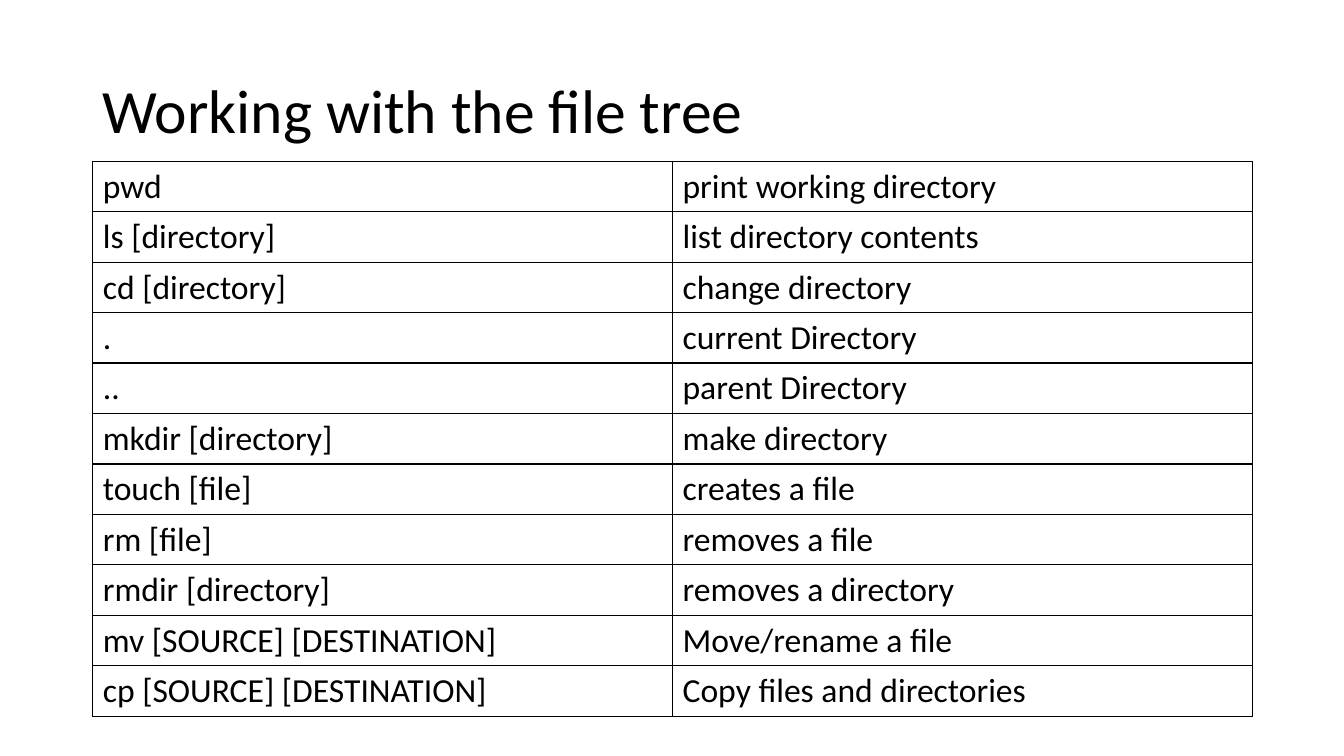
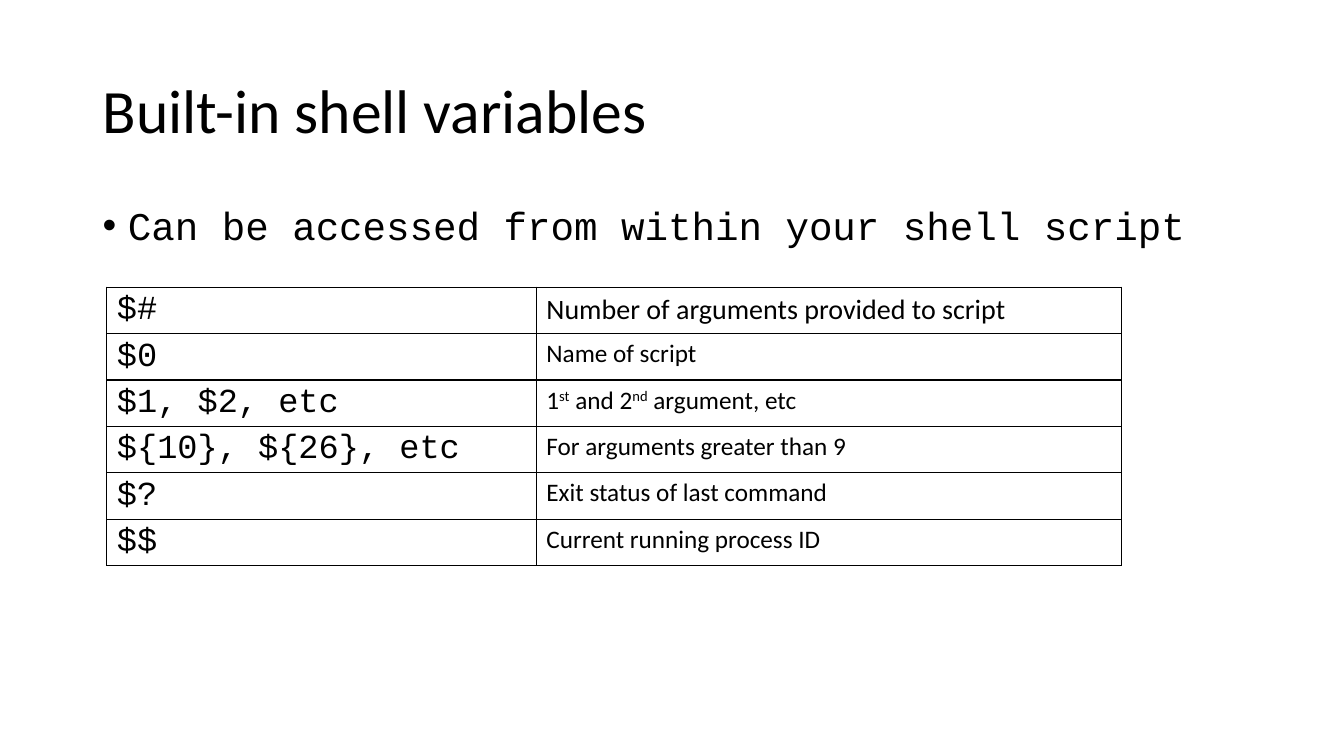
from dataclasses import dataclass
from lxml.etree import SubElement
from pptx import Presentation
from pptx.dml.color import RGBColor
from pptx.enum.text import MSO_ANCHOR
from pptx.oxml.ns import qn
from pptx.util import Inches, Pt

TREE_TITLE = "Working with the file tree"
TREE_ROWS = [
    ("pwd", "print working directory"),
    ("ls [directory]", "list directory contents"),
    ("cd [directory]", "change directory"),
    (".", "current Directory"),
    ("..", "parent Directory"),
    ("mkdir [directory]", "make directory"),
    ("touch [file]", "creates a file"),
    ("rm [file]", "removes a file"),
    ("rmdir [directory]", "removes a directory"),
    ("mv [SOURCE] [DESTINATION]", "Move/rename a file"),
    ("cp [SOURCE] [DESTINATION]", "Copy files and directories"),
]
SHELL_TITLE = "Built-in shell variables"
SHELL_BULLET = "Can be accessed from within your shell script"
SHELL_ROWS = [
    ("$#", "Number of arguments provided to script"),
    ("$0", "Name of script"),
    ("$1, $2, etc", ("1", "^st", " and 2", "^nd", " argument, etc")),
    ("${10}, ${26}, etc", "For arguments greater than 9"),
    ("$?", "Exit status of last command"),
    ("$$", "Current running process ID"),
]


@dataclass(frozen=True)
class Theme:
    ink: str = "000000"
    sans: str = "Calibri"
    mono: str = "Courier New"
    title: int = 44
    body: int = 28
    cell: int = 24
    lead: int = 20
    note: int = 18
    border: int = 1
    spacing: float = 0.9
    left: float = 0.92
    width: float = 11.5


T = Theme()


def write(p, text, size, font, spacing=None, before=None):
    for part in (text,) if isinstance(text, str) else text:
        r = p.add_run()
        r.text = part.removeprefix("^")
        if part.startswith("^"):
            r.font._element.set("baseline", "30000")
    p.font.size, p.font.name = Pt(size), font
    p.font.color.rgb = RGBColor.from_string(T.ink)
    if spacing:
        p.line_spacing = spacing
    if before:
        p.space_before = Pt(before)


def add_text(slide, top, height, anchor):
    box = slide.shapes.add_textbox(Inches(T.left), Inches(top), Inches(T.width), Inches(height))
    tf = box.text_frame
    tf.word_wrap, tf.vertical_anchor = True, anchor
    return tf.paragraphs[0]


def add_slide(prs, title):
    slide = prs.slides.add_slide(prs.slide_layouts[6])
    write(add_text(slide, 0.4, 1.45, MSO_ANCHOR.MIDDLE), title, T.title, T.sans, T.spacing)
    return slide


def add_bullet(slide, text):
    p = add_text(slide, 2, 4.76, MSO_ANCHOR.TOP)
    write(p, text, T.body, T.mono, T.spacing, 10)
    pPr = p._p.get_or_add_pPr()
    pPr.set("marL", str(Inches(0.25)))
    pPr.set("indent", str(-Inches(0.25)))
    font = pPr.makeelement(qn("a:buFont"), typeface="Arial")
    char = pPr.makeelement(qn("a:buChar"), char="•")
    pPr.find(qn("a:spcBef")).addnext(font)
    font.addnext(char)


def add_borders(cell):
    tcPr = cell._tc.get_or_add_tcPr()
    for side in ("lnL", "lnR", "lnT", "lnB"):
        ln = SubElement(tcPr, qn("a:" + side), w=str(Pt(T.border)))
        SubElement(SubElement(ln, qn("a:solidFill")), qn("a:srgbClr"), val=T.ink)


def add_grid(slide, rows, left, top, widths, row_height, style):
    table = slide.shapes.add_table(
        len(rows), len(widths), Inches(left), Inches(top),
        Inches(sum(widths)), Inches(row_height * len(rows))).table
    table.first_row = table.horz_banding = False
    for column, width in zip(table.columns, widths):
        column.width = Inches(width)
    for i, row in enumerate(rows):
        table.rows[i].height = Inches(row_height)
        for j, text in enumerate(row):
            cell = table.cell(i, j)
            add_borders(cell)
            cell.fill.background()
            write(cell.text_frame.paragraphs[0], text, *style(i, j))


def tree_style(i, j):
    return T.cell, T.sans


def shell_style(i, j):
    if j == 0:
        return T.cell, T.mono, T.spacing, 5
    return (T.lead if i == 0 else T.note), T.sans


prs = Presentation()
prs.slide_width, prs.slide_height = Inches(13.33), Inches(7.5)

tree = add_slide(prs, TREE_TITLE)
add_grid(tree, TREE_ROWS, T.left, 1.6, (T.width / 2, T.width / 2), 0.5, tree_style)

shell = add_slide(prs, SHELL_TITLE)
add_bullet(shell, SHELL_BULLET)
add_grid(shell, SHELL_ROWS, 1.06, 2.85, (4.26, 5.8), 0.41, shell_style)

prs.save("out.pptx")
